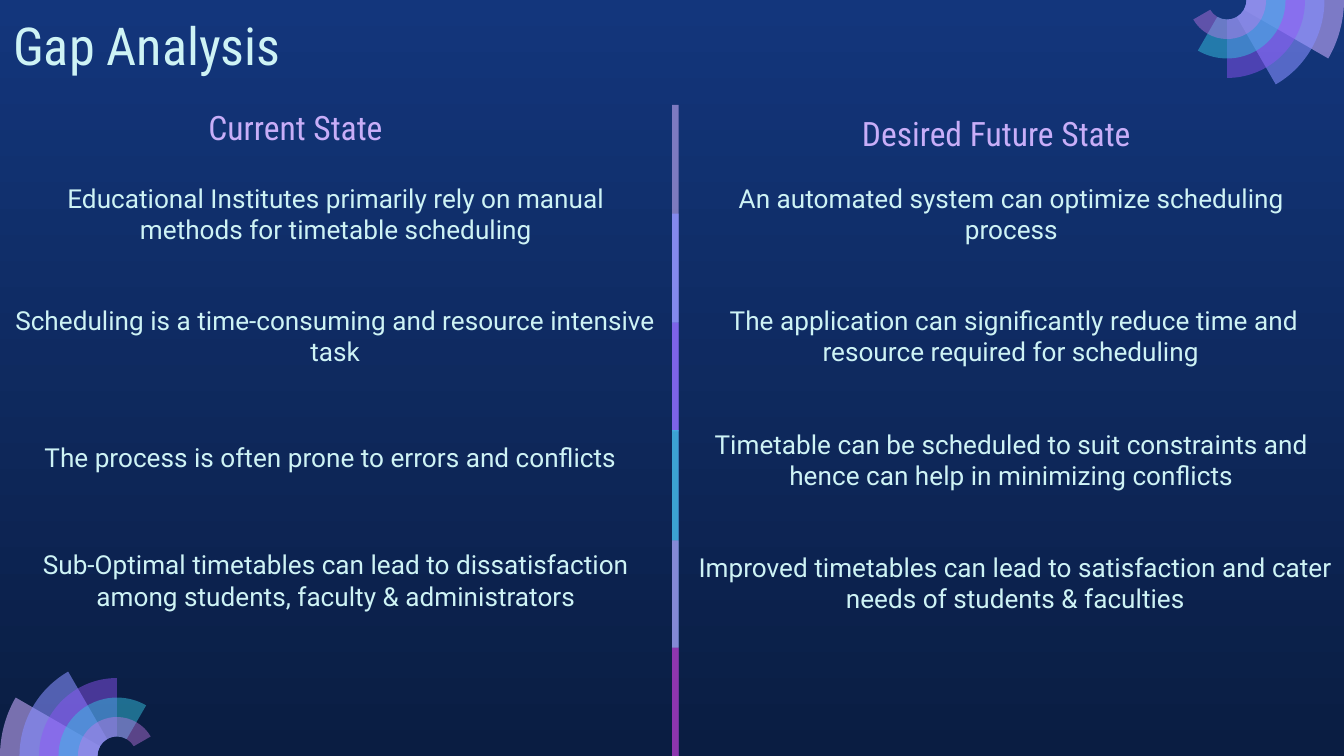
from math import cos, radians, sin, tan

from lxml import etree
from pptx import Presentation
from pptx.dml.color import RGBColor
from pptx.enum.shapes import MSO_SHAPE
from pptx.enum.text import MSO_ANCHOR, PP_ALIGN
from pptx.oxml.ns import qn
from pptx.util import Pt

LEFT, CENTER = PP_ALIGN.LEFT, PP_ALIGN.CENTER
TOP, BOTTOM = MSO_ANCHOR.TOP, MSO_ANCHOR.BOTTOM
RECTANGLE = MSO_SHAPE.RECTANGLE

PX = 4572  # EMU per px, 200 px to the inch
WIDTH, HEIGHT = 2000, 1125


class Theme:
    night = ("13367C", "0A1D42")
    ice, lilac = "CEF3F5", "C8AEF8"
    # style: font, size in points, colour
    title = ("Roboto Condensed", 28, ice)
    heading = ("Roboto Condensed", 18, lilac)
    body = ("Roboto", 14, ice)
    # colour, opacity in percent; fan runs from the outer ring inwards
    fan = [("C8ACFD", 58), ("878FFF", 58), ("9154F8", 46),
           ("35C2DF", 49), ("CA7BEB", 42)]


# Content: text, (left, top, width, height), top and bottom inset
TITLE = ("Gap Analysis", (0, 0, 1686, 126), 20)
CURRENT_HEADING = ("Current State", (187, 153, 506, 86), 20)
FUTURE_HEADING = ("Desired Future State", (1263, 158, 464, 80), 10)
STATEMENTS = [
    ("Educational Institutes primarily rely on manual methods for timetable scheduling",
     (0, 251, 1000, 138), 20),
    ("Scheduling is a time-consuming and resource intensive task",
     (-8, 443, 1014, 114), 10),
    ("The process is often prone to errors and conflicts",
     (-8, 647, 1000, 68), 10),
    ("Sub-Optimal timetables can lead to dissatisfaction among students, faculty & administrators",
     (0, 807, 1000, 114), 10),
    ("An automated system can optimize scheduling process",
     (1010, 261, 990, 114), 10),
    ("The application can significantly reduce time and resource required for scheduling ",
     (1014, 443, 990, 114), 10),
    ("Timetable can be scheduled to suit constraints and hence can help in minimizing conflicts",
     (1010, 627, 990, 114), 10),
    ("Improved timetables can lead to satisfaction and cater needs of students & faculties",
     (1010, 810, 1002, 114), 10),
]

# Divider bars: top, colour, opacity in percent
BARS = [(156, "C8AEF8", 59), (318, "878FFF", 74), (480, "9154F8", 53),
        (640, "35C2DF", 76), (804, "CA7BEB", 56), (964, "972CB4", 74)]
BAR_LEFT, BAR_WIDTH, BAR_HEIGHT = 1000, 10, 324

# Fan centres with starting angle, and ring width
FANS = [((174, HEIGHT), 180), ((WIDTH - 174, 0), 0)]
RING = 29


def paint(shape, colour, opacity):
    shape.shadow.inherit = False
    shape.line.fill.background()
    shape.fill.solid()
    shape.fill.fore_color.rgb = RGBColor.from_string(colour)
    solid = shape.element.spPr.find(qn("a:solidFill"))
    etree.SubElement(solid[0], qn("a:alpha"), val=str(opacity * 1000))


def arc(center, radius, start, sweep):
    """Start point, then two control points and an end point per curve."""
    def spot(angle, offset=0):
        return ((center[0] + radius * (cos(angle) - offset * sin(angle))) * PX,
                (center[1] + radius * (sin(angle) + offset * cos(angle))) * PX)

    points = [spot(radians(start))]
    for first in range(start, start + sweep, 90):
        begin, end = radians(first), radians(min(first + 90, start + sweep))
        pull = 4 / 3 * tan((end - begin) / 4)
        points += [spot(begin, pull), spot(end, -pull), spot(end)]
    return points


def bend(lines):
    """Turn each three straight segments into one cubic curve."""
    for index in range(0, len(lines), 3):
        curve = etree.Element(qn("a:cubicBezTo"))
        lines[index].addprevious(curve)
        for line in lines[index:index + 3]:
            curve.append(line[0])
            line.getparent().remove(line)


def add_fan(page, center, start):
    for index, (colour, opacity) in enumerate(Theme.fan):
        sweep = 30 * (index + 1)
        outer = arc(center, RING * (6 - index), start, sweep)
        inner = arc(center, RING, start, sweep)[::-1]
        builder = page.shapes.build_freeform(*outer[0], scale=1.0)
        builder.add_line_segments(outer[1:] + inner, close=True)
        sector = builder.convert_to_shape()
        lines = list(sector.element.iter(qn("a:lnTo")))
        bend(lines[:len(outer) - 1])
        bend(lines[len(outer):])
        paint(sector, colour, opacity)


def add_text(page, content, style, align=CENTER, anchor=TOP):
    text, place, inset = content
    font, size, colour = style
    frame = page.shapes.add_textbox(*(value * PX for value in place)).text_frame
    frame.word_wrap = True
    frame.vertical_anchor = anchor
    frame.margin_left = frame.margin_right = 20 * PX
    frame.margin_top = frame.margin_bottom = inset * PX
    para = frame.paragraphs[0]
    para.alignment = align
    span = para.add_run()
    span.text = text
    span.font.name, span.font.size = font, Pt(size)
    span.font.color.rgb = RGBColor.from_string(colour)


deck = Presentation()
deck.slide_width, deck.slide_height = WIDTH * PX, HEIGHT * PX
page = deck.slides.add_slide(deck.slide_layouts[6])

# Background, darkening downwards
backdrop = page.background.fill
backdrop.gradient()
backdrop.gradient_angle = 270
for stop, shade in zip(backdrop.gradient_stops, Theme.night):
    stop.color.rgb = RGBColor.from_string(shade)

# Corner fans
for center, start in FANS:
    add_fan(page, center, start)

# Divider: the bars overlap and end at the slide edge
for top, colour, opacity in BARS:
    height = min(BAR_HEIGHT, HEIGHT - top)
    bar = page.shapes.add_shape(
        RECTANGLE, *(value * PX for value in (BAR_LEFT, top, BAR_WIDTH, height)))
    paint(bar, colour, opacity)

# Text
add_text(page, TITLE, Theme.title, align=LEFT)
add_text(page, CURRENT_HEADING, Theme.heading, anchor=BOTTOM)
add_text(page, FUTURE_HEADING, Theme.heading, align=LEFT)
for statement in STATEMENTS:
    add_text(page, statement, Theme.body)

deck.save("out.pptx")
